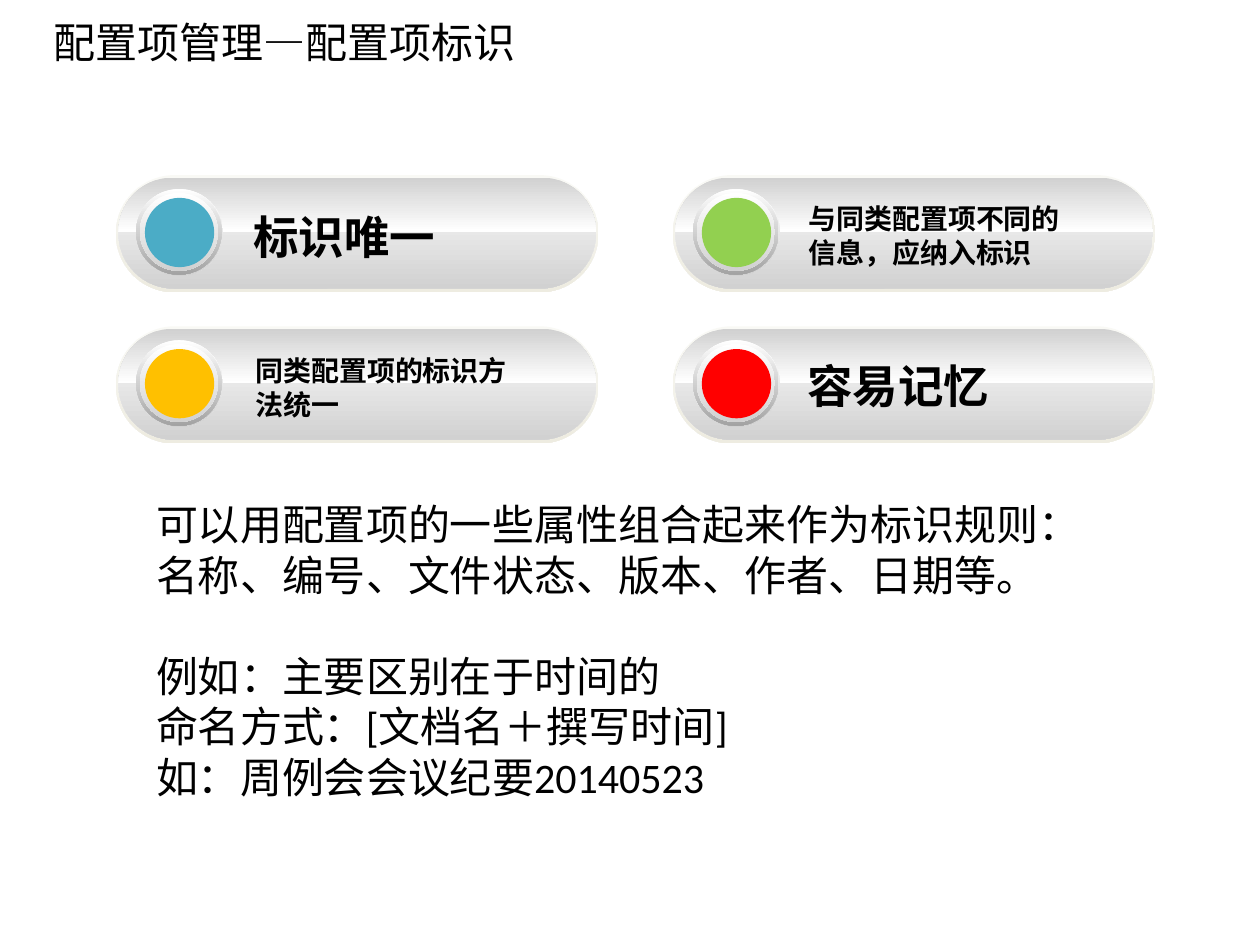
import math

from pptx import Presentation
from pptx.dml.color import RGBColor
from pptx.enum.shapes import MSO_SHAPE
from pptx.enum.text import MSO_ANCHOR
from pptx.util import Inches, Pt

PILL, OVAL = MSO_SHAPE.ROUNDED_RECTANGLE, MSO_SHAPE.OVAL
MIDDLE, TOP = MSO_ANCHOR.MIDDLE, MSO_ANCHOR.TOP


def paint(s, *colors):
    """Fill with one colour, or with a gradient running from top to bottom."""
    s.shadow.inherit = False
    s.line.fill.background()
    if len(colors) == 1:
        s.fill.solid()
        s.fill.fore_color.rgb = RGBColor.from_string(colors[0])
        return
    s.fill.gradient()
    s.fill.gradient_angle = 270
    for stop, color in zip(s.fill.gradient_stops, colors):
        stop.color.rgb = RGBColor.from_string(color)


def add_text(box, lines, size, font, bold=False, anchor=TOP):
    tf = slide.shapes.add_textbox(*map(Inches, box)).text_frame
    tf.word_wrap = True
    tf.vertical_anchor = anchor
    for i, line in enumerate(lines):
        p = tf.paragraphs[0] if i == 0 else tf.add_paragraph()
        p.text = line
        p.font.size = Pt(size)
        p.font.name = font
        p.font.bold = bold
        p.font.color.rgb = RGBColor.from_string("000000")
    return tf


prs = Presentation()
prs.slide_width, prs.slide_height = Inches(10), Inches(7.5)
slide = prs.slides.add_slide(prs.slide_layouts[6])

add_text((0.33, -0.03, 9, 0.72), ["配置项管理—配置项标识"], 24,
         "Noto Sans CJK SC", anchor=MIDDLE)

# Buttons: offsets are measured from the top left corner of each button
LEFT, TOP_ROW, COL_STEP, ROW_STEP = 0.92, 1.39, 4.42, 1.2
LAYERS = [  # preset, left, top, width, height, colours
    (PILL, 0, 0, 3.83, 0.93, ("F9F9F5", "EEECE1")),
    (PILL, 0.02, 0.02, 3.79, 0.88, ("FFFFFF", "D1D1D1")),
]
RINGS = [  # left, top, diameter, colours
    (0.16, 0.11, 0.69, ("FFFFFF", "D1D1D1")),
    (0.16, 0.11, 0.68, ("FFFFFF", "A3A3A3")),
    (0.19, 0.14, 0.62, ("FFFFFF", "D1D1D1")),
]
BUTTONS = [  # column, row, dot colour
    (0, 0, "4BACC6"),
    (0, 1, "FFC000"),
    (1, 0, "92D050"),
    (1, 1, "FF0000"),
]
GLOSS_LEFT, GLOSS_RIGHT, GLOSS_TOP, RADIUS = 0.02, 3.81, 0.02, 0.43

for col, row, dot in BUTTONS:
    x, y = LEFT + col * COL_STEP, TOP_ROW + row * ROW_STEP
    shapes = slide.shapes.add_group_shape().shapes
    for preset, dx, dy, w, h, colors in LAYERS:
        s = shapes.add_shape(preset, Inches(x + dx), Inches(y + dy), Inches(w), Inches(h))
        s.adjustments[0] = 0.5
        paint(s, *colors)

    # Gloss on the upper half: two quarter circles joined by a straight edge
    outline = []
    for angle in range(180, -1, -5):
        center = GLOSS_LEFT + RADIUS if angle > 90 else GLOSS_RIGHT - RADIUS
        a = math.radians(angle)
        outline.append((Inches(x + center + RADIUS * math.cos(a)),
                        Inches(y + GLOSS_TOP + RADIUS * (1 - math.sin(a)))))
        if angle == 90:
            outline.append((Inches(x + GLOSS_LEFT + RADIUS), Inches(y + GLOSS_TOP)))
            outline[-2:] = outline[:-3:-1]
    builder = shapes.build_freeform(*outline[0])
    builder.add_line_segments(outline[1:], close=True)
    paint(builder.convert_to_shape(), "D1D1D1", "FFFFFF")

    for dx, dy, size, colors in RINGS + [(0.23, 0.18, 0.55, (dot,))]:
        s = shapes.add_shape(OVAL, Inches(x + dx), Inches(y + dy), Inches(size), Inches(size))
        paint(s, *colors)

LABELS = [  # left, top, height, size, text
    (1.91, 1.61, 0.54, 26, "标识唯一"),
    (6.32, 1.55, 0.64, 16, "与同类配置项不同的信息，应纳入标识"),
    (1.93, 2.76, 0.64, 16, "同类配置项的标识方法统一"),
    (6.31, 2.79, 0.54, 26, "容易记忆"),
]
for left, top, height, size, text in LABELS:
    add_text((left, top, 2.38, height), [text], size, "Arial", bold=True)

tf = add_text((1.14, 3.91, 7.8, 2.52), [
    "可以用配置项的一些属性组合起来作为标识规则：名称、编号、文件状态、版本、作者、日期等。",
    "例如：主要区别在于时间的",
    "命名方式：[文档名＋撰写时间]",
    "如：周例会会议纪要20140523",
], 24, "Calibri")
tf.paragraphs[1].space_before = Pt(29)

prs.save("out.pptx")
